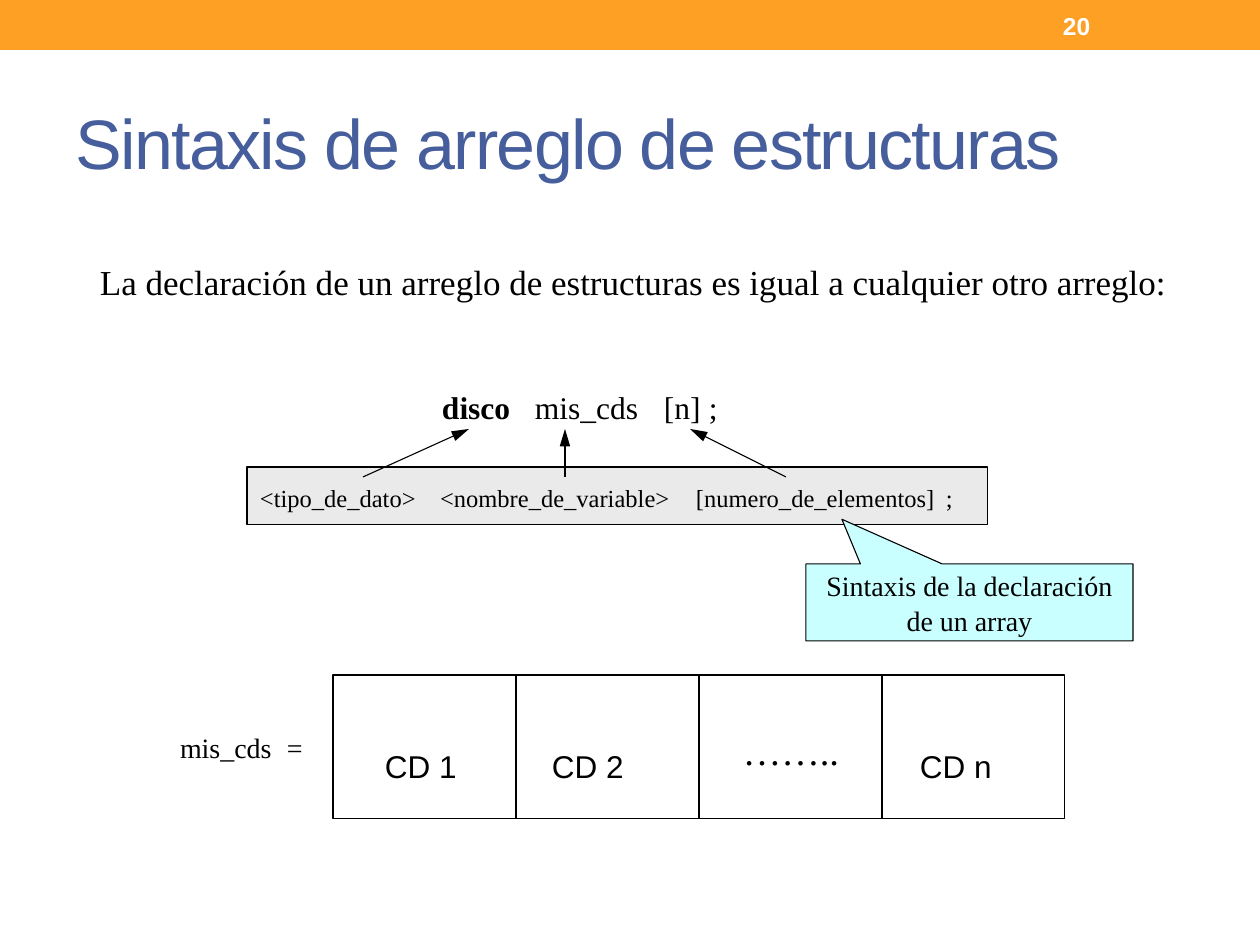
from dataclasses import dataclass
from lxml.etree import SubElement
from pptx import Presentation
from pptx.dml.color import RGBColor
from pptx.enum.shapes import MSO_CONNECTOR as CONN, MSO_SHAPE as SHAPE
from pptx.enum.text import MSO_ANCHOR as ANCHOR, PP_ALIGN as ALIGN
from pptx.oxml.ns import qn
from pptx.util import Emu, Pt


@dataclass(frozen=True)
class Theme:
    orange: str = "FDA023"
    blue: str = "465E9C"
    gray: str = "EAEAEA"
    cyan: str = "CAFFFF"
    white: str = "FFFFFF"
    black: str = "000000"
    sans: str = "Arial"
    serif: str = "Times New Roman"
    title: int = 40
    dots: int = 22
    body: int = 20
    code: int = 18
    note: int = 16
    small: int = 14
    line: float = 0.63


T = Theme()
PX = 914400 // 126

prs = Presentation()
prs.slide_width, prs.slide_height = Emu(1260 * PX), Emu(945 * PX)
s = prs.slides.add_slide(prs.slide_layouts[6])


def add_box(kind, x, y, w, h, fill, outline=True):
    sp = s.shapes.add_shape(kind, *[Emu(v * PX) for v in (x, y, w, h)])
    sp.shadow.inherit = False
    sp.fill.solid()
    sp.fill.fore_color.rgb = RGBColor.from_string(fill)
    if outline:
        sp.line.color.rgb = RGBColor.from_string(T.black)
        sp.line.width = Pt(T.line)
    else:
        sp.line.fill.background()
    return sp


def add_text(text, x, y, w, h, size, font=T.serif, color=T.black, bold=False,
             inset=(0, 0), wrap=False, anchor=ANCHOR.TOP):
    tb = s.shapes.add_textbox(*[Emu(v * PX) for v in (x, y, w, h)])
    tf = tb.text_frame
    tf.word_wrap = wrap
    tf.vertical_anchor = anchor
    tf.margin_left = tf.margin_right = Emu(inset[0] * PX)
    tf.margin_top = tf.margin_bottom = Emu(inset[1] * PX)
    r = tf.paragraphs[0].add_run()
    r.text = text
    r.font.size, r.font.name, r.font.bold = Pt(size), font, bold
    r.font.color.rgb = RGBColor.from_string(color)
    return r


# Top band, slide number and title
add_box(SHAPE.RECTANGLE, 0, 0, 1260, 50, T.orange, outline=False)
add_text("20", 1050, 3, 147, 45, T.small, T.sans, T.white, True,
         (13, 6), True, ANCHOR.MIDDLE)
r = add_text("Sintaxis de arreglo de estructuras", 63, 73, 1134, 136, T.title,
             T.sans, T.blue, False, (13, 6), True, ANCHOR.MIDDLE)
r.font._element.set("spc", "-100")

# Introduction
add_text("La declaración de un arreglo de estructuras es igual a cualquier otro arreglo:",
         100, 260, 1074, 43, T.body)

# Example declaration
for text, x, w in (("disco", 442, 82), ("mis_cds", 535, 115),
                   ("[n]", 664, 50), (";", 709, 21)):
    add_text(text, x, 388, w, 43, T.code, bold=text == "disco")

# General syntax
add_box(SHAPE.RECTANGLE, 247, 467, 741, 58, T.gray)
for text, x, w in (("<tipo_de_dato>", 260, 178), ("<nombre_de_variable>", 440, 256),
                   ("[numero_de_elementos]", 696, 265), (";", 946, 18)):
    add_text(text, x, 483, w, 37, T.small)

# Arrows from the syntax to the example
for x1, x2 in ((363, 469), (565, 565), (786, 690)):
    cn = s.shapes.add_connector(CONN.STRAIGHT, *[Emu(v * PX) for v in (x1, 477, x2, 429)])
    cn.line.color.rgb = RGBColor.from_string(T.black)
    cn.line.width = Pt(T.line)
    SubElement(cn.line._get_or_add_ln(), qn("a:tailEnd"), type="triangle", w="med", len="lg")
    SubElement(cn._element.spPr, qn("a:effectLst"))

# Callout
sp = add_box(SHAPE.RECTANGULAR_CALLOUT, 806, 564, 327, 77, T.cyan)
sp.adjustments[0], sp.adjustments[1] = -0.39, -1.08
tf = sp.text_frame
tf.word_wrap = True
tf.vertical_anchor = ANCHOR.TOP
tf.margin_left = tf.margin_right = tf.margin_bottom = 0
tf.margin_top = Emu(3 * PX)
for i, text in enumerate(("Sintaxis de la declaración", "de un array")):
    p = tf.add_paragraph() if i else tf.paragraphs[0]
    p.alignment = ALIGN.CENTER
    p.line_spacing = Pt(20)
    r = p.add_run()
    r.text = text
    r.font.size, r.font.name = Pt(T.note), T.serif
    r.font.color.rgb = RGBColor.from_string(T.black)

# Array cells and their labels
for i in range(4):
    add_box(SHAPE.RECTANGLE, 333 + 183 * i, 675, 183, 144, T.white)
for text, x in (("CD 1", 372), ("CD 2", 539), ("CD n", 907)):
    add_text(text, x, 741, 98, 50, T.code, T.sans, inset=(13, 6))
add_text("……..", 743, 727, 112, 52, T.dots)
for text, x, w in (("mis_cds", 180, 108), ("=", 287, 29)):
    add_text(text, x, 731, w, 42, T.note)

prs.save("out.pptx")
